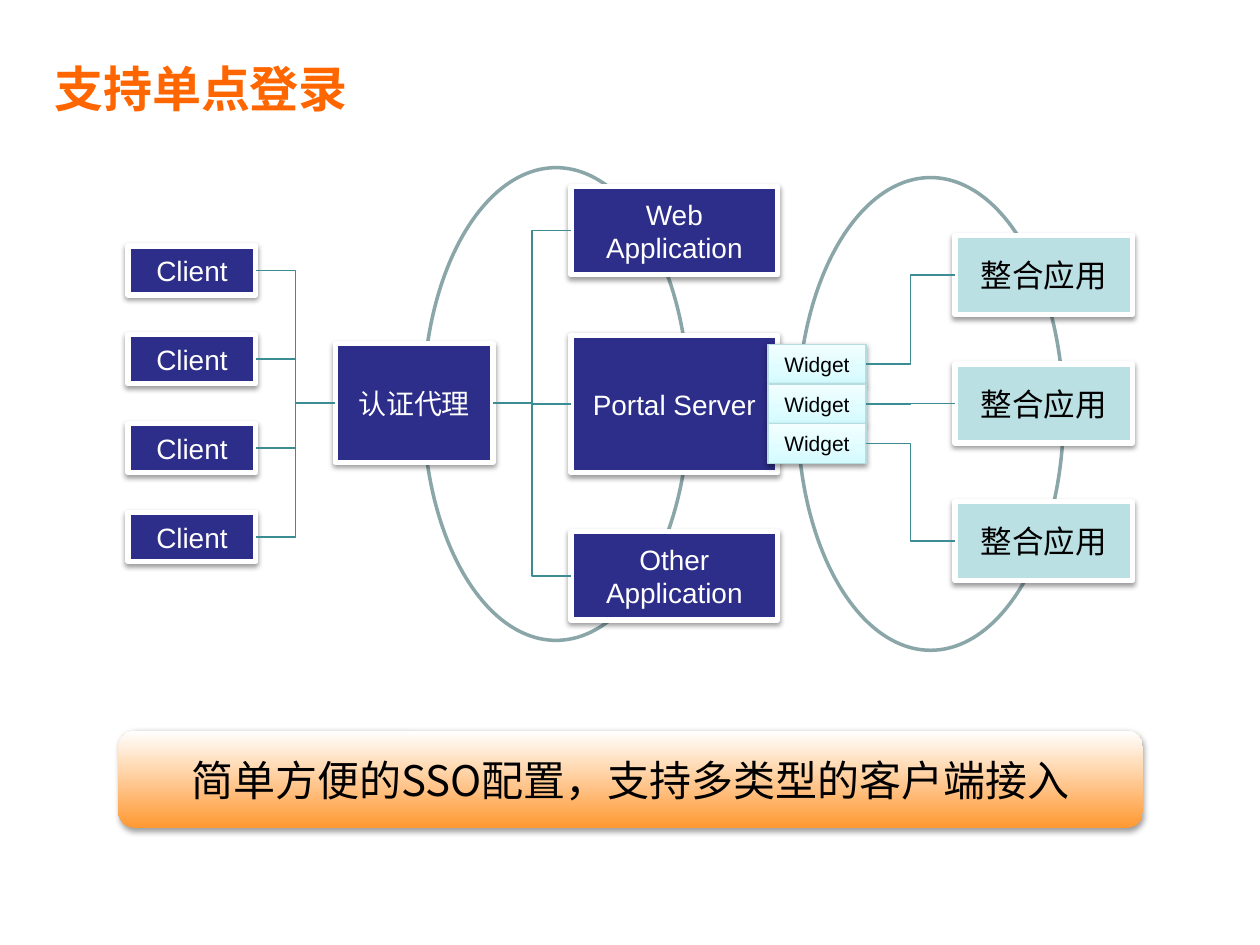
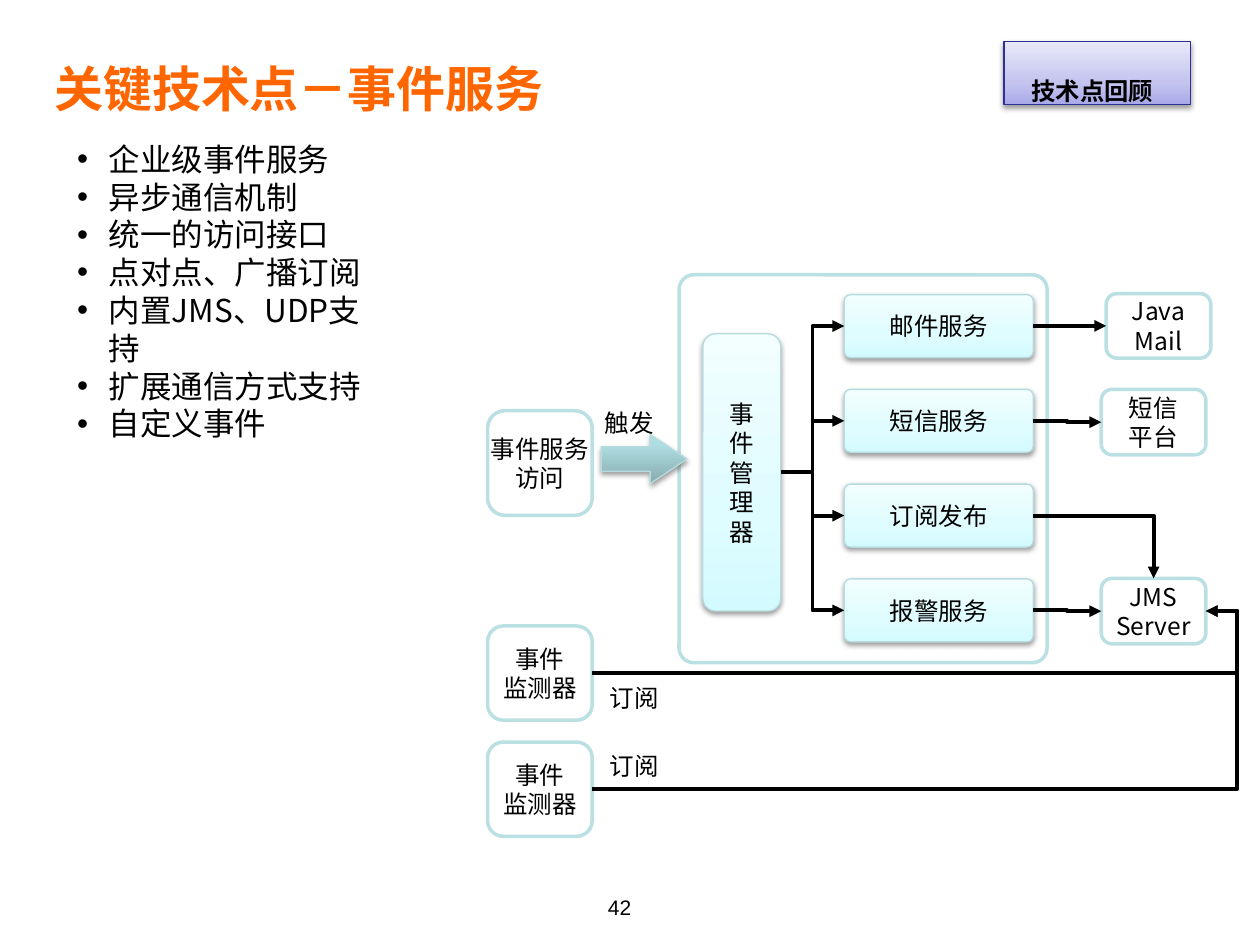
from lxml import etree
from pptx import Presentation
from pptx import util as u
from pptx.dml.color import RGBColor
from pptx.enum import shapes, text
from pptx.oxml.ns import qn

CJK = "Noto Sans CJK SC"
LATIN = "Arial"
COLORS = {
    "title": "FF6600", "black": "000000", "white": "FFFFFF", "navy": "2D2D8A",
    "aqua": "BBE0E3", "aqua_edge": "B6DCDF", "ring": "8AA6A8", "wire": "3C8C93",
    "tag_edge": "2F2F98",
}
GRADIENTS = {
    "ice": [(0, "D3FBFF"), (35, "DFFCFF"), (100, "F2FEFF")],
    "teal": [(0, "87ABAE"), (80, "AFDEE2"), (100, "AFE0E4")],
    "lilac": [(0, "A9A9E9"), (35, "C4C4EF"), (100, "E8E8FA")],
    "orange": [(0, "FF9933"), (100, "FFFFFF")],
}
STYLES = {
    "navy": dict(fill="navy", line=("white", 3), shadow=True, size=16, color="white"),
    "aqua": dict(fill="aqua", line=("white", 3), shadow=True, size=18),
    "widget": dict(fill="ice", line=("aqua_edge", 0.75), shadow=True, size=12),
    "ice": dict(kind="ROUNDED_RECTANGLE", fill="ice", line=("aqua_edge", 0.75),
                shadow=True, font=CJK, wrap=False),
    "outline": dict(kind="ROUNDED_RECTANGLE", fill="white", line=("aqua", 2),
                    font=CJK, wrap=False),
    "arrow": dict(kind="RIGHT_ARROW", fill="teal", line=("aqua_edge", 0.75), shadow=True),
    "banner": dict(kind="ROUNDED_RECTANGLE", fill="orange", shadow=True, font=CJK, size=24),
    "tag": dict(fill="lilac", line=("tag_edge", 0.75), shadow=True, size=24),
    "ring": dict(kind="OVAL", line=("ring", 2)),
}
TITLE_BOX = (0.84, 0.99, 23.93, 1.55)
TOP, LEFT, BOTTOM, RIGHT = range(4)

SSO_TITLE = "支持单点登录"
RINGS = [(16.08, 3.58, 5.36, 9.53), (8.53, 3.38, 5.36, 9.53)]
CLIENTS = ["Client"] * 4
AGENT = ("认证代理", (6.76, 6.93, 3.18, 2.39))
APPLICATIONS = [("Web Application", 3.76, 1.78), ("Portal Server", 6.76, 2.77),
                ("Other Application", 10.72, 1.78)]
WIDGETS = ["Widget"] * 3
INTEGRATIONS = [("整合应用", 4.75), ("整合应用", 7.34), ("整合应用", 10.11)]
BANNER = ("简单方便的SSO配置，支持多类型的客户端接入", (2.39, 14.73, 20.65, 1.96))

EVENT_TITLE = "关键技术点－事件服务"
EVENT_POINTS = ["企业级事件服务", "异步通信机制", "统一的访问接口", "点对点、广播订阅",
                "内置JMS、UDP支持", "扩展通信方式支持", "自定义事件"]
POINTS_BOX = (1.3, 2.69, 6.6, 5.64)
TAG = ("技术点回顾", (20.24, 0.84, 3.76, 1.27))
PAGE_NUMBER = ("42", (9.53, 17.35, 5.92, 1.32))
PANEL_BOX = (13.69, 5.54, 7.42, 7.82)
MANAGER = ("\n".join("事件管理器"), (14.17, 6.73, 1.57, 5.59))
SERVICES = ["邮件服务", "短信服务", "订阅发布", "报警服务"]
TRIGGER_BOX = (12.12, 8.76, 1.73, 0.99)
ACCESS = ("事件服务\n访问", (9.83, 8.28, 2.11, 2.11))
MONITORS = [("事件\n监测器", (9.83, top, 2.11, 1.9)) for top in (12.62, 14.96)]
TARGETS = [("Java\nMail", (22.3, 5.92, 2.11, 1.3)), ("短信\n平台", (22.2, 7.85, 2.11, 1.32)),
           ("JMS\nServer", (22.2, 11.66, 2.11, 1.32))]
LABELS = [("触发", (11.94, 8.1, 1.52, 0.86)), ("订阅", (12.04, 13.64, 1.52, 0.86)),
          ("订阅", (12.04, 15.01, 1.52, 0.86))]


def rgb(name):
    return RGBColor.from_string(COLORS[name])


def child(parent, tag, **attributes):
    return etree.SubElement(parent, qn(tag), attributes)


def lengths(box):
    return [u.Cm(value) for value in box]


def write(shape, content, size=14, font=LATIN, color="black", bold=False,
          align=text.PP_ALIGN.CENTER):
    shape.text_frame.text = content
    for paragraph in shape.text_frame.paragraphs:
        paragraph.alignment = align
        for run in paragraph.runs:
            run.font.size = u.Pt(size)
            run.font.bold = bold
            run.font.color.rgb = rgb(color)
            run.font.name = font
            child(run._r.get_or_add_rPr(), "a:ea", typeface=CJK)


def paint(shape, fill):
    if fill is None:
        shape.fill.background()
    elif fill in GRADIENTS:
        shape.fill.gradient()
        shape.fill.gradient_angle = 90
        stops = shape._element.spPr.find(".//" + qn("a:gsLst"))
        for stop in list(stops):
            stops.remove(stop)
        for position, value in GRADIENTS[fill]:
            stop = child(stops, "a:gs", pos=str(position * 1000))
            child(stop, "a:srgbClr", val=value)
    else:
        shape.fill.solid()
        shape.fill.fore_color.rgb = rgb(fill)


def cast_shadow(shape):
    effects = shape._element.spPr.find(qn("a:effectLst"))
    outer = child(effects, "a:outerShdw", blurRad=str(u.Pt(3.1)), dist=str(u.Pt(1.6)),
                  dir="5400000", rotWithShape="0")
    child(child(outer, "a:srgbClr", val=COLORS["black"]), "a:alpha", val="38000")


def add_box(slide, style, box, content="", corner=None):
    look = dict(dict(kind="RECTANGLE", fill=None, line=None, shadow=False, size=14,
                     font=LATIN, color="black", wrap=True), **STYLES[style])
    kind = getattr(shapes.MSO_SHAPE, look["kind"])
    shape = slide.shapes.add_shape(kind, *lengths(box))
    paint(shape, look["fill"])
    if look["line"]:
        color, width = look["line"]
        shape.line.color.rgb = rgb(color)
        shape.line.width = u.Pt(width)
    else:
        shape.line.fill.background()
    shape.shadow.inherit = False
    if look["shadow"]:
        cast_shadow(shape)
    if corner is not None:
        shape.adjustments[0] = corner
    if content:
        shape.text_frame.word_wrap = look["wrap"]
        shape.text_frame.vertical_anchor = text.MSO_ANCHOR.MIDDLE
        write(shape, content, look["size"], look["font"], look["color"])
    return shape


def add_label(slide, content, box, **look):
    label = slide.shapes.add_textbox(*lengths(box))
    label.text_frame.word_wrap = False
    write(label, content, **look)
    return label


def connect(slide, start, end, color="wire", width=1, sides=(RIGHT, LEFT), arrow=False,
            preset="bentConnector3", bend=None):
    connector = slide.shapes.add_connector(shapes.MSO_CONNECTOR.ELBOW, 0, 0, 0, 0)
    connector.begin_connect(start, sides[0])
    connector.end_connect(end, sides[1])
    connector.line.color.rgb = rgb(color)
    connector.line.width = u.Pt(width)
    properties = connector._element.spPr
    geometry = properties.find(qn("a:prstGeom"))
    geometry.set("prst", preset)
    if bend:
        child(geometry.find(qn("a:avLst")), "a:gd", name="adj1", fmla=f"val {bend}")
    if arrow:
        child(properties.find(qn("a:ln")), "a:tailEnd", type="triangle")
    child(properties, "a:effectLst")


def place(shape, box):
    shape.left, shape.top, shape.width, shape.height = lengths(box)


def add_slide(presentation, layout, title):
    slide = presentation.slides.add_slide(presentation.slide_layouts[layout])
    place(slide.shapes.title, TITLE_BOX)
    slide.shapes.title.text_frame.vertical_anchor = text.MSO_ANCHOR.MIDDLE
    slide.shapes.title.text_frame.auto_size = text.MSO_AUTO_SIZE.NONE
    write(slide.shapes.title, title, 28, color="title", bold=True, align=text.PP_ALIGN.LEFT)
    return slide


def add_points(body, points):
    place(body, POINTS_BOX)
    body.text_frame.auto_size = text.MSO_AUTO_SIZE.NONE
    write(body, "\n".join(points), 18, CJK, align=text.PP_ALIGN.LEFT)
    for paragraph in body.text_frame.paragraphs:
        paragraph.space_before = u.Pt(0)
        properties = paragraph._p.get_or_add_pPr()
        properties.set("marL", str(u.Cm(0.64)))
        properties.set("indent", str(u.Cm(-0.64)))
        child(properties, "a:buFont", typeface=LATIN)
        child(properties, "a:buChar", char="•")


def build_sso_slide(presentation):
    slide = add_slide(presentation, 5, SSO_TITLE)
    for ring in RINGS:
        add_box(slide, "ring", ring)
    clients = [add_box(slide, "navy", (2.58, 4.96 + row * 1.79, 2.58, 0.99), name)
               for row, name in enumerate(CLIENTS)]
    agent = add_box(slide, "navy", AGENT[1], AGENT[0])
    applications = [add_box(slide, "navy", (11.51, top, 4.17, height), name)
                    for name, top, height in APPLICATIONS]
    widgets = [add_box(slide, "widget", (15.48, 6.94 + row * 0.8, 1.98, 0.8), name)
               for row, name in enumerate(WIDGETS)]
    integrations = [add_box(slide, "aqua", (19.25, top, 3.58, 1.59), name)
                    for name, top in INTEGRATIONS]
    for client in clients:
        connect(slide, client, agent)
    for application in applications:
        connect(slide, agent, application)
    for widget, integration in zip(widgets, integrations):
        connect(slide, widget, integration)
    add_box(slide, "banner", BANNER[1], BANNER[0])


def build_event_slide(presentation):
    slide = add_slide(presentation, 1, EVENT_TITLE)
    add_points(slide.placeholders[1], EVENT_POINTS)
    number = add_label(slide, PAGE_NUMBER[0], PAGE_NUMBER[1], size=12)
    number.text_frame.word_wrap = True
    number.text_frame.vertical_anchor = text.MSO_ANCHOR.BOTTOM

    add_box(slide, "outline", PANEL_BOX, corner=0.04)
    manager = add_box(slide, "ice", MANAGER[1], MANAGER[0])
    services = [add_box(slide, "ice", (17.02, 5.94 + row * 1.91, 3.81, 1.27), name, 0.1)
                for row, name in enumerate(SERVICES)]
    trigger = add_box(slide, "arrow", TRIGGER_BOX)
    trigger.adjustments[1] = 0.75
    add_box(slide, "outline", ACCESS[1], ACCESS[0])
    monitors = [add_box(slide, "outline", box, name) for name, box in MONITORS]
    mail, sms, jms = [add_box(slide, "outline", box, name) for name, box in TARGETS]
    for name, box in LABELS:
        add_label(slide, name, box, font=CJK, align=text.PP_ALIGN.LEFT)

    flow = dict(color="black", width=2.25, arrow=True)
    for service in services:
        connect(slide, manager, service, **flow)
    mailing, messaging, publishing, alarming = services
    for service, target in ((mailing, mail), (messaging, sms), (alarming, jms)):
        connect(slide, service, target, **flow)
    connect(slide, publishing, jms, sides=(RIGHT, TOP), preset="bentConnector2", **flow)
    for monitor in monitors:
        connect(slide, monitor, jms, sides=(RIGHT, RIGHT), bend=105100, **flow)

    tag = add_box(slide, "tag", TAG[1], TAG[0])
    tag.text_frame.vertical_anchor = text.MSO_ANCHOR.TOP
    tag.text_frame.margin_right = u.Cm(0.75)
    paragraph = tag.text_frame.paragraphs[0]
    paragraph.alignment = text.PP_ALIGN.RIGHT
    paragraph.runs[0].font.bold = True
    paragraph.runs[0]._r.get_or_add_rPr().set("baseline", "-25000")


def main():
    presentation = Presentation()
    presentation.slide_width = u.Cm(25.4)
    presentation.slide_height = u.Cm(19.05)
    build_sso_slide(presentation)
    build_event_slide(presentation)
    presentation.save("out.pptx")


if __name__ == "__main__":
    main()
